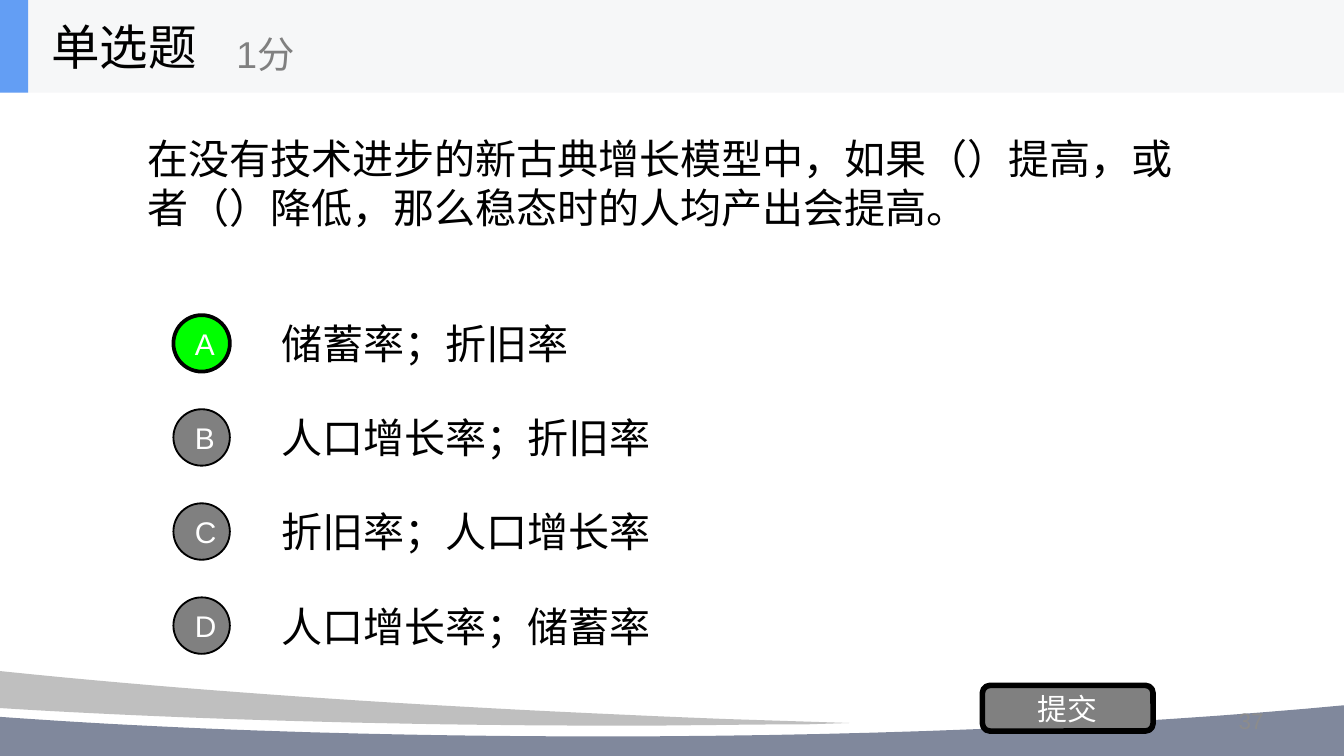
from lxml import etree
from pptx import Presentation
from pptx.dml.color import RGBColor
from pptx.enum.shapes import MSO_SHAPE
from pptx.enum.text import MSO_ANCHOR, MSO_AUTO_SIZE, PP_ALIGN
from pptx.oxml.ns import qn
from pptx.util import Inches, Pt

RECTANGLE = MSO_SHAPE.RECTANGLE
OVAL = MSO_SHAPE.OVAL
ROUNDED = MSO_SHAPE.ROUNDED_RECTANGLE
LEFT, CENTER, RIGHT = PP_ALIGN.LEFT, PP_ALIGN.CENTER, PP_ALIGN.RIGHT
MIDDLE = MSO_ANCHOR.MIDDLE
NO_AUTOFIT = MSO_AUTO_SIZE.NONE

FONT = "Arial"
COLORS = {
    "text": "000000", "white": "FFFFFF", "muted": "808080", "number": "8C8C8C",
    "selected": "00FF00", "header": "F6F7F8", "accent": "639EF4",
    "wave": "80889C", "light_wave": "BFBFBF",
}
QUESTION = "在没有技术进步的新古典增长模型中，如果（）提高，或者（）降低，那么稳态时的人均产出会提高。"
OPTIONS = ["储蓄率；折旧率", "人口增长率；折旧率", "折旧率；人口增长率", "人口增长率；储蓄率"]
SELECTED = 0
CURVE_STEPS = 24


def color(name):
    return RGBColor.from_string(COLORS[name])


def place(shape, left, top, width, height):
    shape.left, shape.top = Inches(left), Inches(top)
    shape.width, shape.height = Inches(width), Inches(height)


def write(shape, text, size, color_name="text", align=LEFT, wrap=True):
    frame = shape.text_frame
    frame.text = text
    frame.auto_size = NO_AUTOFIT
    frame.word_wrap = wrap
    frame.vertical_anchor = MIDDLE
    paragraph = frame.paragraphs[0]
    paragraph.alignment = align
    font = paragraph.runs[0].font
    font.name, font.size = FONT, Pt(size)
    font.color.rgb = color(color_name)


def add_text(slide, box, text, size, color_name="text", align=LEFT, wrap=True):
    shape = slide.shapes.add_textbox(*map(Inches, box))
    write(shape, text, size, color_name, align, wrap)


def paint(shape, fill, line_width=0):
    shape.shadow.inherit = False
    shape.fill.solid()
    shape.fill.fore_color.rgb = color(fill)
    if line_width:
        shape.line.color.rgb = color("text")
        shape.line.width = Pt(line_width)
    else:
        shape.line.fill.background()


def add_block(slide, kind, box, fill, line_width=0):
    shape = slide.shapes.add_shape(kind, *map(Inches, box))
    paint(shape, fill, line_width)
    return shape


def add_button(slide, kind, box, text, fill, line_width):
    shape = add_block(slide, kind, box, fill, line_width)
    write(shape, text, 16, "white", CENTER)


def curve_points(start, first, second, end):
    for step in range(1, CURVE_STEPS + 1):
        t = step / CURVE_STEPS
        weights = ((1 - t) ** 3, 3 * t * (1 - t) ** 2, 3 * t * t * (1 - t), t ** 3)
        yield tuple(
            sum(weight * value for weight, value in zip(weights, values))
            for values in zip(start, first, second, end)
        )


def add_wave(slide, left, top, segments, fill):
    points = [segments[0]]
    for segment in segments[1:]:
        if len(segment) == 2:
            points.append(segment)
        else:
            points.extend(curve_points(points[-1], *segment))
    corners = [(Inches(left + x), Inches(top + y)) for x, y in points]
    builder = slide.shapes.build_freeform(*corners[0])
    builder.add_line_segments(corners[1:], close=True)
    paint(builder.convert_to_shape(), fill)


def add_footer(slide, left, top):
    add_wave(slide, left, top, [
        (13.33, 0), (13.33, 0.73), (0, 0.73), (0, 0.37), (0.77, 0.43),
        ((2.12, 0.53), (3.67, 0.58), (5.32, 0.58)),
        ((8.62, 0.58), (11.52, 0.36), (13.24, 0.02)),
    ], "wave")
    add_wave(slide, left, top, [
        (0, 0), (0.7, 0.08),
        ((2.29, 0.25), (4.16, 0.37), (6.22, 0.45)), (7.15, 0.48), (6.84, 0.49),
        ((6.4, 0.49), (5.94, 0.5), (5.47, 0.5)),
        ((3.6, 0.5), (1.91, 0.44), (0.69, 0.36)), (0, 0.3),
    ], "light_wave")
    add_text(slide, (left + 8, top + 0.31, 2.33, 0.3), "37", 12, "number", RIGHT)


def add_question(slide, left, top, width, height):
    body = slide.placeholders[1]
    place(body, left, top, width, height)
    write(body, QUESTION, 22)
    paragraph = body.text_frame.paragraphs[0]
    paragraph.space_before = Pt(0)
    properties = body.element.find(".//" + qn("a:pPr"))
    properties.set("marL", "0")
    properties.set("indent", "0")
    etree.SubElement(properties, qn("a:buNone"))


def add_options(slide, left, top, width, row_height, pitch):
    diameter = 0.42
    for index, option in enumerate(OPTIONS):
        row_top = top + index * pitch
        add_text(slide, (left + 0.71, row_top, width - 0.71, row_height), option, 22)
        circle = (left, row_top + (row_height - diameter) / 2, diameter, diameter)
        chosen = index == SELECTED
        add_button(slide, OVAL, circle, "ABCD"[index],
                   "selected" if chosen else "muted", 2 if chosen else 1)


def add_header(slide, left, top, width, height):
    add_block(slide, RECTANGLE, (left, top, width, height), "header")
    add_block(slide, RECTANGLE, (left, top, 0.21, height), "accent")
    title = slide.shapes.title
    title.element.getparent().append(title.element)
    place(title, left + 0.28, top, 2.08, height)
    write(title, "单选题", 26, wrap=False)
    add_text(slide, (left + 1.66, top + 0.12, 2.5, 0.56), "1分", 20, "muted", wrap=False)


def main():
    presentation = Presentation()
    presentation.slide_width = Inches(10)
    presentation.slide_height = Inches(10 * 9 / 16)
    slide = presentation.slides.add_slide(presentation.slide_layouts[1])
    add_footer(slide, -0.83, 4.9)
    add_question(slide, 1, 0.48, 8, 1.76)
    add_options(slide, 1.29, 2.29, 7.71, 0.53, 0.7)
    add_button(slide, ROUNDED, (7.31, 5.1, 1.27, 0.34), "提交", "muted", 3)
    add_header(slide, 0, 0, 10, 0.69)
    presentation.save("out.pptx")


if __name__ == "__main__":
    main()
